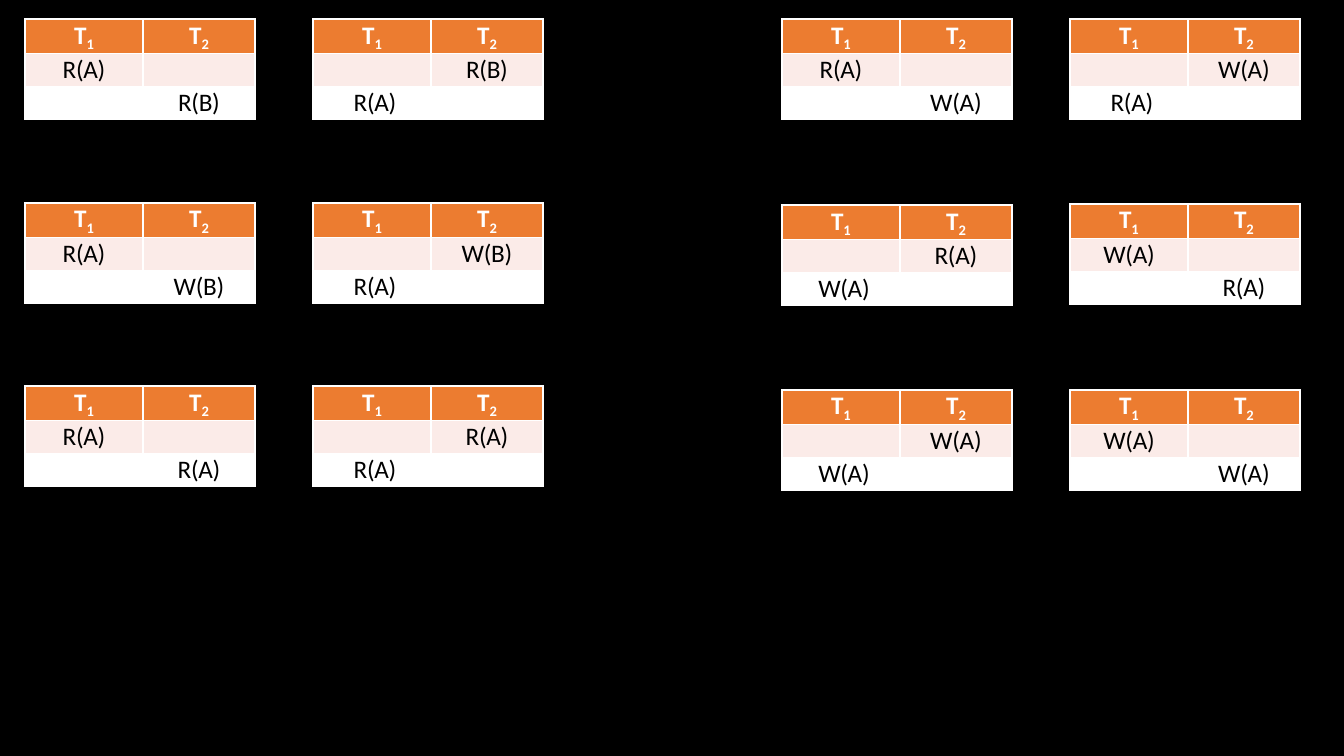
import pptx
import pptx.dml.color
import pptx.enum.text
import pptx.util
from lxml import etree

SCHEDULES = [
    (25, 19, [("R(A)", ""), ("", "R(B)")]),
    (313, 19, [("", "R(B)"), ("R(A)", "")]),
    (25, 203, [("R(A)", ""), ("", "W(B)")]),
    (313, 203, [("", "W(B)"), ("R(A)", "")]),
    (25, 386, [("R(A)", ""), ("", "R(A)")]),
    (313, 386, [("", "R(A)"), ("R(A)", "")]),
    (782, 19, [("R(A)", ""), ("", "W(A)")]),
    (1070, 19, [("", "W(A)"), ("R(A)", "")]),
    (782, 205, [("", "R(A)"), ("W(A)", "")]),
    (1070, 204, [("W(A)", ""), ("", "R(A)")]),
    (782, 390, [("", "W(A)"), ("W(A)", "")]),
    (1070, 390, [("W(A)", ""), ("", "W(A)")]),
]
TRANSACTIONS = [("T", "1"), ("T", "2")]
COLUMN_WIDTHS = [118, 112]
ROW_HEIGHT = 33
ROW_FILLS = ["EC7C30", "FBEBE8", "FFFFFF"]
ROW_EDGES = ["LRTB", "LRT", "LR"]
BACKDROP = "000000"
HEADER_INK = "FFFFFF"
OPERATION_INK = "000000"
EDGE = "FFFFFF"
LATE_INDENT = 6


def px(length):
    return round(length * 914400 / 100.8)


def color(value):
    return pptx.dml.color.RGBColor.from_string(value)


def add_run(paragraph, text, ink, bold=False, subscript=False):
    run = paragraph.add_run()
    run.text = text
    run.font.name = "Calibri"
    run.font.size = pptx.util.Pt(18)
    run.font.bold = bold
    run.font.color.rgb = color(ink)
    properties = run._r.get_or_add_rPr()
    properties.set("spc", "-40" if subscript else "-20")
    if subscript:
        properties.set("baseline", "-21000")


def add_edges(cell, sides):
    properties = cell._tc.get_or_add_tcPr()
    for side in sides:
        line = etree.SubElement(properties, pptx.oxml.ns.qn("a:ln" + side), w="12700")
        fill = etree.SubElement(line, pptx.oxml.ns.qn("a:solidFill"))
        etree.SubElement(fill, pptx.oxml.ns.qn("a:srgbClr"), val=EDGE)


def style_cell(cell, row):
    add_edges(cell, ROW_EDGES[row])
    cell.fill.solid()
    cell.fill.fore_color.rgb = color(ROW_FILLS[row])
    cell.margin_left = cell.margin_right = cell.margin_bottom = 0
    cell.margin_top = px(1)
    paragraph = cell.text_frame.paragraphs[0]
    paragraph.alignment = pptx.enum.text.PP_ALIGN.CENTER
    return paragraph


def add_schedule(slide, left, top, steps):
    row_count = len(steps) + 1
    schedule = slide.shapes.add_table(
        row_count, len(TRANSACTIONS), px(left), px(top),
        px(sum(COLUMN_WIDTHS)), px(ROW_HEIGHT * row_count)).table
    schedule.first_row = schedule.horz_banding = False
    for row in schedule.rows:
        row.height = px(ROW_HEIGHT)
    for column, (letter, number) in enumerate(TRANSACTIONS):
        schedule.columns[column].width = px(COLUMN_WIDTHS[column])
        heading = style_cell(schedule.cell(0, column), 0)
        add_run(heading, letter, HEADER_INK, bold=True)
        add_run(heading, number, HEADER_INK, bold=True, subscript=True)
        for row, step in enumerate(steps, 1):
            paragraph = style_cell(schedule.cell(row, column), row)
            if step[column]:
                add_run(paragraph, step[column], OPERATION_INK)
                if column == 0 and row == len(steps):
                    paragraph._p.get_or_add_pPr().set("marL", str(px(LATE_INDENT)))


def main():
    deck = pptx.Presentation()
    deck.slide_width, deck.slide_height = px(1344), px(756)
    slide = deck.slides.add_slide(deck.slide_layouts[6])
    slide.background.fill.solid()
    slide.background.fill.fore_color.rgb = color(BACKDROP)
    for left, top, steps in SCHEDULES:
        add_schedule(slide, left, top, steps)
    deck.save("out.pptx")


if __name__ == "__main__":
    main()
